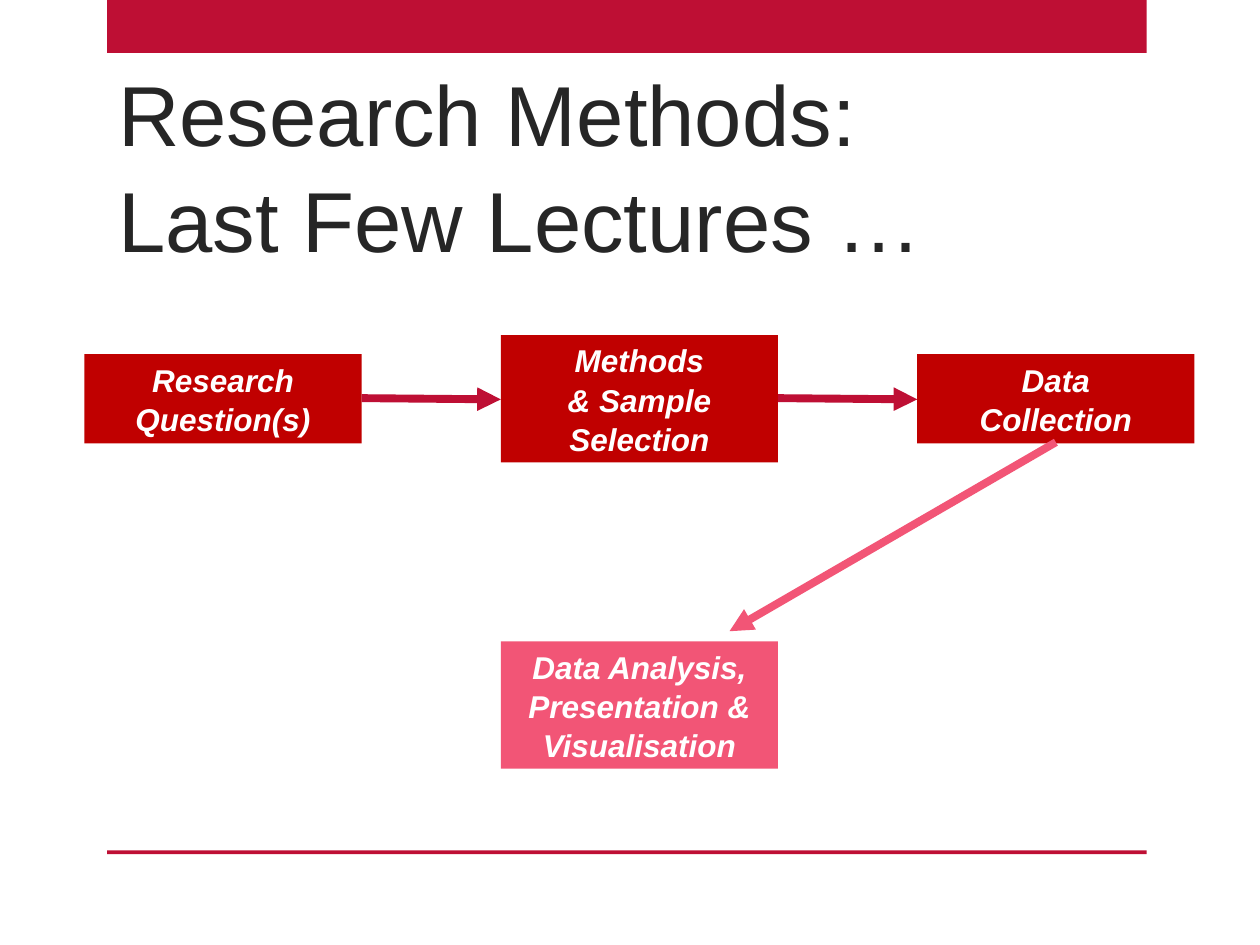
from lxml.etree import SubElement
from pptx import Presentation
from pptx.dml.color import RGBColor
from pptx.enum.shapes import MSO_CONNECTOR, MSO_SHAPE
from pptx.enum.text import MSO_ANCHOR, PP_ALIGN
from pptx.oxml.ns import qn
from pptx.util import Inches, Pt

CRIMSON = RGBColor(0xBE, 0x0F, 0x34)
DARK_RED = RGBColor(0xC0, 0x00, 0x00)
PINK = RGBColor(0xF2, 0x55, 0x76)
CHARCOAL = RGBColor(0x26, 0x26, 0x26)
WHITE = RGBColor(0xFF, 0xFF, 0xFF)

SLIDE_WIDTH, SLIDE_HEIGHT = 10, 7.5
FRAME_LEFT, FRAME_WIDTH = 0.85, 8.25
STEP_WIDTH = 2.2
FIRST_COLUMN, COLUMN_PITCH = 0.67, 3.305
STEP_ROW, ANALYSIS_ROW = 3.165, 5.595
LINE_HEIGHT = 0.3


def write_text(shape, paragraphs, size, color, align=PP_ALIGN.LEFT,
               anchor=MSO_ANCHOR.MIDDLE, bold=False, italic=False):
    frame = shape.text_frame
    frame.word_wrap = True
    frame.vertical_anchor = anchor
    for index, text in enumerate(paragraphs):
        paragraph = frame.add_paragraph() if index else frame.paragraphs[0]
        paragraph.text = text
        paragraph.alignment = align
        paragraph.line_spacing = 1.04
        for run in paragraph.runs:
            font = run.font
            font.name, font.size = "Arial", Pt(size)
            font.bold, font.italic = bold, italic
            font.color.rgb = color


def add_rectangle(slide, left, top, width, height, color):
    shape = slide.shapes.add_shape(
        MSO_SHAPE.RECTANGLE, *map(Inches, (left, top, width, height)))
    shape.shadow.inherit = False
    shape.fill.solid()
    shape.fill.fore_color.rgb = color
    shape.line.fill.background()
    return shape


def add_arrow(slide, start, end, color):
    arrow = slide.shapes.add_connector(
        MSO_CONNECTOR.STRAIGHT, *map(Inches, (*start, *end)))
    arrow.line.color.rgb = color
    arrow.line.width = Pt(4.5)
    SubElement(arrow.line._get_or_add_ln(), qn("a:tailEnd"), type="triangle")
    SubElement(arrow._element.spPr, qn("a:effectLst"))


def add_step(slide, column, middle, paragraphs, line_count, color):
    """Place a box in a column, centred on a height and as tall as its lines."""
    height = 0.11 + line_count * LINE_HEIGHT
    shape = add_rectangle(slide, FIRST_COLUMN + column * COLUMN_PITCH,
                          middle - height / 2, STEP_WIDTH, height, color)
    write_text(shape, paragraphs, 18, WHITE, align=PP_ALIGN.CENTER,
               bold=True, italic=True)


def add_frame(slide):
    """Draw the bands at the top and the foot of the slide."""
    for top, height in ((0, 0.42), (6.75, 0.03)):
        add_rectangle(slide, FRAME_LEFT, top, FRAME_WIDTH, height, CRIMSON)


def add_title(slide, left, top, width, height):
    title = slide.shapes.add_textbox(*map(Inches, (left, top, width, height)))
    write_text(title, ["Research Methods:\vLast Few Lectures …"], 48.6,
               CHARCOAL, anchor=MSO_ANCHOR.BOTTOM)


def add_process(slide):
    steps = (
        (["Research", "Question(s)"], 2),
        (["Methods", "& Sample Selection"], 3),
        (["Data", "Collection"], 2),
    )
    for column, (paragraphs, line_count) in enumerate(steps):
        add_step(slide, column, STEP_ROW, paragraphs, line_count, DARK_RED)
    for column in range(len(steps) - 1):
        left = FIRST_COLUMN + column * COLUMN_PITCH
        add_arrow(slide, (left + STEP_WIDTH, STEP_ROW - 0.005),
                  (left + COLUMN_PITCH, STEP_ROW + 0.005), CRIMSON)


def add_analysis(slide):
    add_step(slide, 1, ANALYSIS_ROW,
             ["Data Analysis,", "Presentation &", "Visualisation"], 3, PINK)
    collection_centre = FIRST_COLUMN + 2 * COLUMN_PITCH + STEP_WIDTH / 2
    add_arrow(slide, (collection_centre, 3.51), (5.79, 5.01), PINK)


def main():
    presentation = Presentation()
    presentation.slide_width = Inches(SLIDE_WIDTH)
    presentation.slide_height = Inches(SLIDE_HEIGHT)
    slide = presentation.slides.add_slide(presentation.slide_layouts[6])
    add_frame(slide)
    add_title(slide, 0.84, 0.44, 7.42, 1.75)
    add_process(slide)
    add_analysis(slide)
    presentation.save("out.pptx")


if __name__ == "__main__":
    main()
